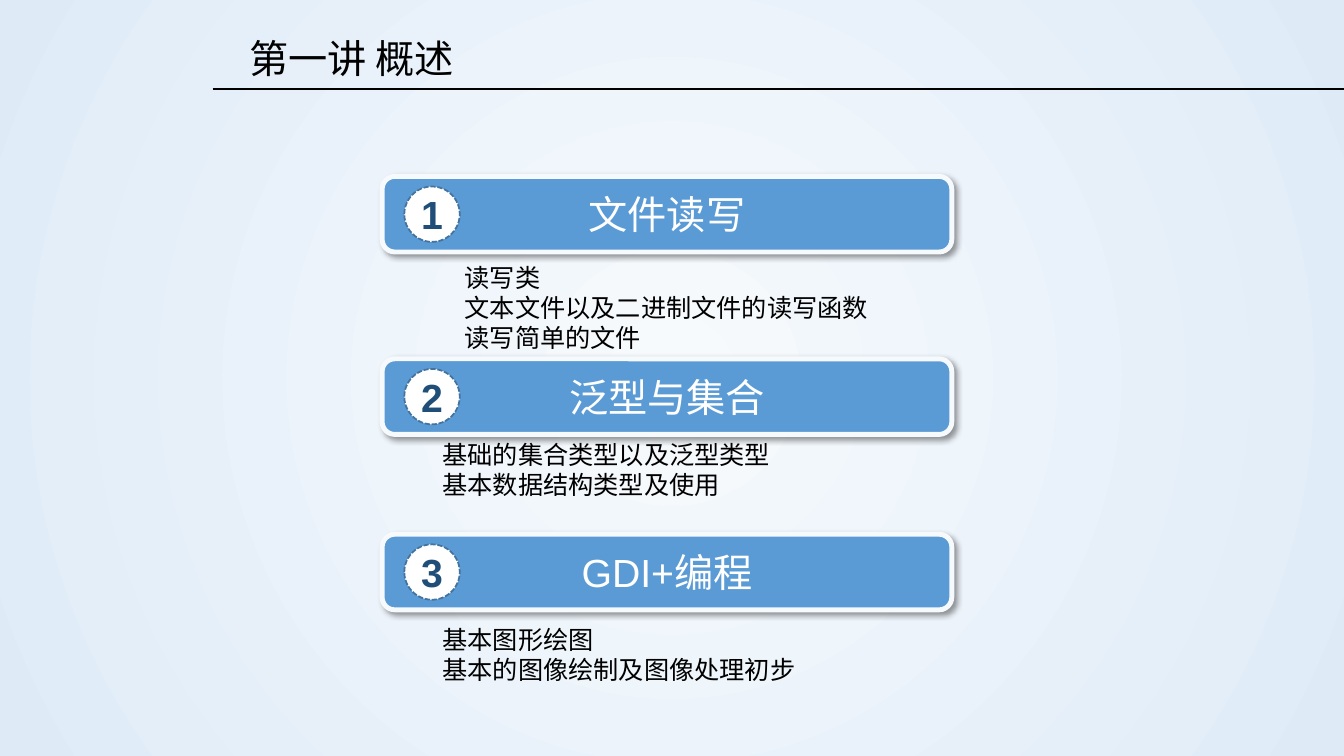
from lxml.etree import SubElement
from pptx import Presentation
from pptx.dml.color import RGBColor
from pptx.enum.dml import MSO_LINE
from pptx.enum.shapes import MSO_CONNECTOR, MSO_SHAPE
from pptx.enum.text import MSO_ANCHOR, MSO_AUTO_SIZE, PP_ALIGN
from pptx.oxml import parse_xml
from pptx.oxml.ns import nsdecls, qn
from pptx.util import Inches, Pt

TITLE = "第一讲 概述"
# heading, bar top, position and size of the details, detail lines
SECTIONS = [
    ("文件读写", 1.75, (4.01, 2.55, 5.43, 1.01),
     ["读写类", "文本文件以及二进制文件的读写函数", "读写简单的文件"]),
    ("泛型与集合", 3.56, (3.79, 4.31, 6.7, 0.71),
     ["基础的集合类型以及泛型类型", "基本数据结构类型及使用"]),
    ("GDI+编程", 5.3, (3.79, 6.14, 4.79, 0.71),
     ["基本图形绘图", "基本的图像绘制及图像处理初步"]),
]
BAR_LEFT, BAR_W, BAR_H = 3.79, 5.65, 0.75
BADGE_LEFT, BADGE = 4.01, 0.55
FONT = "Arial"


def rgb(color):
    return RGBColor.from_string(color)


def inches(*values):
    return [Inches(v) for v in values]


def style(p, size, color, bold=False, align=PP_ALIGN.LEFT):
    p.alignment = align
    p.font.name, p.font.size, p.font.bold = FONT, Pt(size), bold
    p.font.color.rgb = rgb(color)


def set_background(s):
    """Fill the slide with a circular gradient around its centre."""
    fill = s.background.fill
    fill.gradient()
    for stop, color in zip(fill.gradient_stops, ("F7FAFD", "DEEBF7")):
        stop.color.rgb = rgb(color)
    lin = s.element.find(".//" + qn("a:lin"))
    circle = parse_xml(
        f'<a:path {nsdecls("a")} path="circle">'
        '<a:fillToRect l="50000" t="50000" r="50000" b="50000"/></a:path>')
    lin.getparent().replace(lin, circle)


def add_label(group, kind, box, fill, line, width, text, color, bold=False):
    sp = group.shapes.add_shape(kind, *inches(*box))
    sp.shadow.inherit = False
    sp.fill.solid()
    sp.fill.fore_color.rgb = rgb(fill)
    sp.line.color.rgb = rgb(line)
    sp.line.width = Pt(width)
    tf = sp.text_frame
    tf.margin_left = tf.margin_right = tf.margin_top = tf.margin_bottom = 0
    tf.vertical_anchor = MSO_ANCHOR.MIDDLE
    tf.word_wrap = True
    tf.text = text
    style(tf.paragraphs[0], 28, color, bold, PP_ALIGN.CENTER)
    return sp


def add_shadow(sp):
    effects = sp.element.spPr.find(qn("a:effectLst"))
    effects.append(parse_xml(
        f'<a:outerShdw {nsdecls("a")} blurRad="{Pt(4)}" dist="{Pt(3)}" '
        'dir="2700000" algn="tl" rotWithShape="0">'
        '<a:srgbClr val="000000"><a:alpha val="40000"/></a:srgbClr></a:outerShdw>'))


def add_heading(s, number, text, top):
    group = s.shapes.add_group_shape()
    bar = add_label(group, MSO_SHAPE.ROUNDED_RECTANGLE,
                    (BAR_LEFT, top, BAR_W, BAR_H),
                    "5B9BD5", "F7FAFD", 3.5, text, "FFFFFF")
    add_shadow(bar)
    badge = add_label(group, MSO_SHAPE.OVAL,
                      (BADGE_LEFT, top + (BAR_H - BADGE) / 2, BADGE, BADGE),
                      "FFFFFF", "43739E", 1.25, str(number), "1F4E79", True)
    badge.line.dash_style = MSO_LINE.SQUARE_DOT


def add_details(s, box, lines):
    tf = s.shapes.add_textbox(*inches(*box)).text_frame
    tf.word_wrap = True
    tf.auto_size = MSO_AUTO_SIZE.SHAPE_TO_FIT_TEXT
    tf.text = "\n".join(lines)
    for p in tf.paragraphs:
        p.level = 1
        style(p, 18, "000000")


prs = Presentation()
prs.slide_width, prs.slide_height = inches(13.33, 7.5)
s = prs.slides.add_slide(prs.slide_layouts[5])
set_background(s)

title = s.shapes.title
title.left, title.top, title.width, title.height = inches(2.37, 0.29, 3.04, 0.57)
tf = title.text_frame
tf.text = TITLE
tf.vertical_anchor = MSO_ANCHOR.TOP
tf.auto_size = MSO_AUTO_SIZE.NONE
style(tf.paragraphs[0], 28, "000000")

rule = s.shapes.add_connector(MSO_CONNECTOR.STRAIGHT, *inches(2.11, 0.88, 13.33, 0.88))
rule.line.color.rgb = rgb("000000")
rule.line.width = Pt(1.25)
SubElement(rule.element.spPr, qn("a:effectLst"))

for number, (heading, top, box, lines) in enumerate(SECTIONS, 1):
    add_heading(s, number, heading, top)
    add_details(s, box, lines)

prs.save("out.pptx")
